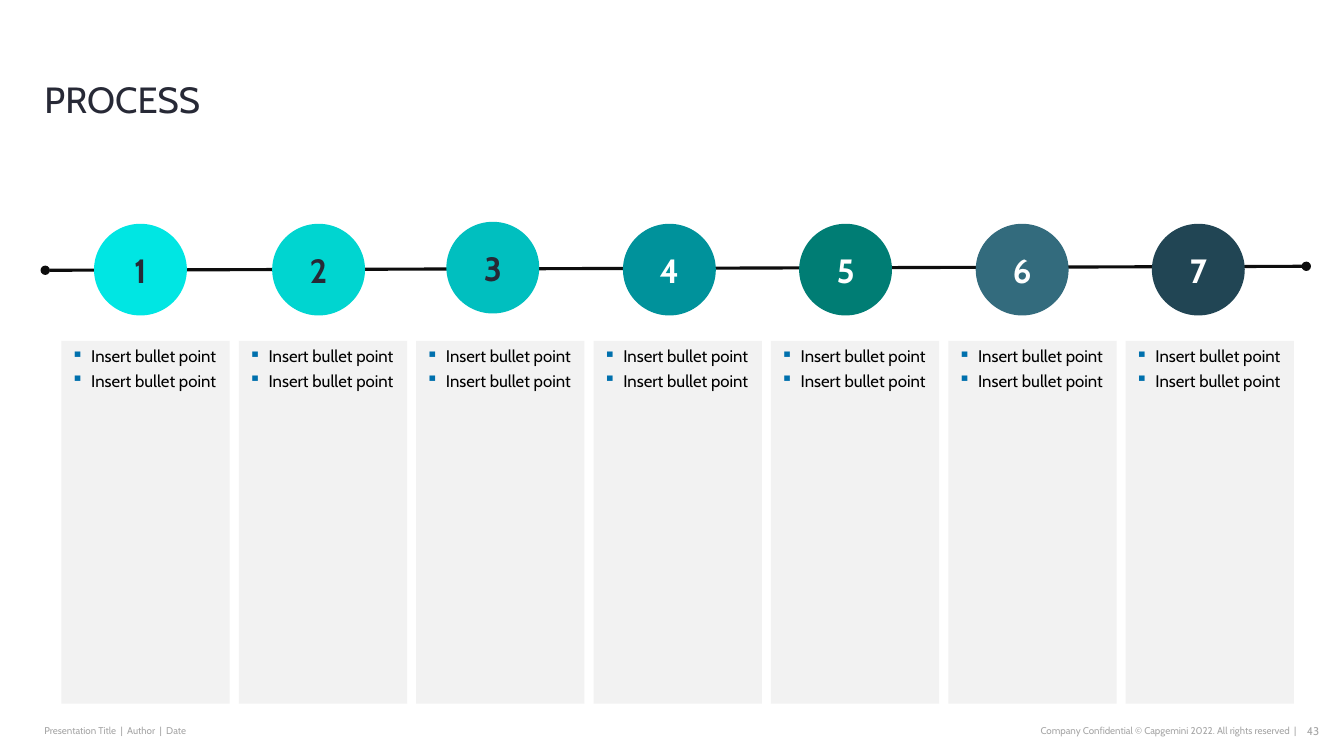
"""Build a seven-step process slide with a timeline and bullet columns."""
from dataclasses import dataclass
from typing import Any

import lxml.etree
import pptx
import pptx.dml.color
import pptx.enum.shapes
import pptx.enum.text
import pptx.oxml.ns
import pptx.util

Cm = pptx.util.Cm
Pt = pptx.util.Pt
ALIGN = pptx.enum.text.PP_ALIGN
ANCHOR = pptx.enum.text.MSO_ANCHOR
SHAPE = pptx.enum.shapes.MSO_SHAPE

COLORS: dict[str, str] = {
    "dark": "272936", "white": "FFFFFF", "black": "000000", "line": "0D0D0D",
    "panel": "F2F2F2", "footer": "A6A6A6", "bullet": "0070AD",
    "step1": "00E6E3", "step2": "00D5D0", "step3": "00BFBF", "step4": "00929B",
    "step5": "007D74", "step6": "336B7D", "step7": "214554",
}
FONT = "Cabin"
INDENT = Cm(0.5)
PANEL_LEFT, PANEL_PITCH = 1.55, 4.47
BULLETS = ["Insert bullet point"] * 2


@dataclass(frozen=True)
class Step:
    """One numbered circle on the timeline, in centimetres."""
    number: int
    left: float
    top: float = 5.64
    text_color: str = "white"


@dataclass(frozen=True)
class Footer:
    """One small text at the foot of the slide, in centimetres."""
    text: str
    left: float
    width: float
    size: float = 7
    align: Any = ALIGN.RIGHT
    anchor: Any = ANCHOR.MIDDLE
    inset: float = 0


STEPS = [
    Step(1, 2.37, text_color="dark"),
    Step(2, 6.86, text_color="dark"),
    Step(3, 11.25, top=5.59, text_color="dark"),
    Step(4, 15.7),
    Step(5, 20.14),
    Step(6, 24.59),
    Step(7, 29.03),
]
FOOTERS = [
    Footer("Presentation Title  |  Author  |  Date", 1.12, 9.47, align=ALIGN.LEFT),
    Footer("Company Confidential © Capgemini 2022. All rights reserved  |", 20.07, 12.6),
    Footer("43", 32.61, 0.64, size=8, anchor=ANCHOR.TOP, inset=0.13),
]


def rgb(name: str) -> pptx.dml.color.RGBColor:
    """Return a named colour."""
    return pptx.dml.color.RGBColor.from_string(COLORS[name])


def add_element(parent: Any, tag: str, **attributes: str) -> Any:
    """Append a drawing element with its attributes."""
    return lxml.etree.SubElement(parent, pptx.oxml.ns.qn(tag), attributes)


def add_bullet(paragraph: Any) -> None:
    """Give a paragraph a square bullet, a hanging indent and a tab stop."""
    properties = paragraph._p.get_or_add_pPr()
    properties.set("marL", str(INDENT))
    properties.set("indent", str(-INDENT))
    add_element(add_element(properties, "a:buClr"), "a:srgbClr", val=COLORS["bullet"])
    add_element(properties, "a:buChar", char="▪")
    add_element(add_element(properties, "a:tabLst"), "a:tab", pos=str(INDENT), algn="l")


def write_text(shape: Any, lines: list[str], *, size: float, color: str, bold: bool = False,
               align: Any = ALIGN.LEFT, anchor: Any = ANCHOR.TOP, bullets: bool = False,
               space_before: float = 0, line_spacing: float = 1.0,
               insets: tuple[float, float] = (0.25, 0.13)) -> None:
    """Write formatted paragraphs into a shape."""
    frame = shape.text_frame
    frame.word_wrap = True
    frame.auto_size = pptx.enum.text.MSO_AUTO_SIZE.NONE
    frame.vertical_anchor = anchor
    frame.margin_left = frame.margin_right = Cm(insets[0])
    frame.margin_top = frame.margin_bottom = Cm(insets[1])
    for index, line in enumerate(lines):
        paragraph = frame.add_paragraph() if index else frame.paragraphs[0]
        if bullets:
            paragraph.level = 1
            add_bullet(paragraph)
        paragraph.alignment = align
        paragraph.line_spacing = line_spacing
        paragraph.space_before = Pt(space_before if index else 0)
        run = paragraph.add_run()
        run.text = line
        run.font.name = FONT
        run.font.size = Pt(size)
        run.font.bold = bold
        run.font.color.rgb = rgb(color)


def add_filled_shape(slide: Any, kind: Any, left: float, top: float, width: float,
                     height: float, fill: str) -> Any:
    """Add a flat shape without an outline."""
    shape = slide.shapes.add_shape(kind, Cm(left), Cm(top), Cm(width), Cm(height))
    shape.shadow.inherit = False
    shape.fill.solid()
    shape.fill.fore_color.rgb = rgb(fill)
    shape.line.fill.background()
    return shape


def add_title(slide: Any) -> None:
    """Place and format the title."""
    title = slide.shapes.title
    title.left, title.top, title.width, title.height = Cm(1.12), Cm(1.07), Cm(30.4), Cm(1.98)
    write_text(title, ["PROCESS"], size=26, color="dark", anchor=ANCHOR.BOTTOM,
               line_spacing=0.9, insets=(0, 0))


def add_timeline(slide: Any) -> None:
    """Draw the line with round ends behind the circles."""
    connector = slide.shapes.add_connector(pptx.enum.shapes.MSO_CONNECTOR.STRAIGHT,
                                           Cm(1.14), Cm(6.81), Cm(32.92), Cm(6.71))
    connector.line.width = Pt(2.25)
    connector.line.color.rgb = rgb("line")
    outline = connector.line._get_or_add_ln()
    add_element(outline, "a:headEnd", type="oval")
    add_element(outline, "a:tailEnd", type="oval")
    add_element(connector._element.spPr, "a:effectLst")


def add_step(slide: Any, step: Step) -> None:
    """Draw a numbered circle and its bullet column."""
    circle = add_filled_shape(slide, SHAPE.OVAL, step.left, step.top, 2.34, 2.31,
                              f"step{step.number}")
    write_text(circle, [str(step.number)], size=24, color=step.text_color, bold=True,
               align=ALIGN.CENTER, anchor=ANCHOR.MIDDLE)
    panel_left = PANEL_LEFT + PANEL_PITCH * (step.number - 1)
    panel = add_filled_shape(slide, SHAPE.RECTANGLE, panel_left, 8.59, 4.24, 9.14, "panel")
    write_text(panel, BULLETS, size=12, color="black", bullets=True, space_before=3)


def add_footer(slide: Any, footer: Footer) -> None:
    """Add one footer text."""
    box = slide.shapes.add_textbox(Cm(footer.left), Cm(18.11), Cm(footer.width), Cm(0.61))
    write_text(box, [footer.text], size=footer.size, color="footer", align=footer.align,
               anchor=footer.anchor, insets=(0, footer.inset))


def main() -> None:
    """Build and save the presentation."""
    presentation = pptx.Presentation()
    presentation.slide_width, presentation.slide_height = Cm(33.87), Cm(19.05)
    slide = presentation.slides.add_slide(presentation.slide_layouts[5])
    for footer in FOOTERS:
        add_footer(slide, footer)
    add_title(slide)
    add_timeline(slide)
    for step in STEPS:
        add_step(slide, step)
    presentation.save("out.pptx")


if __name__ == "__main__":
    main()
